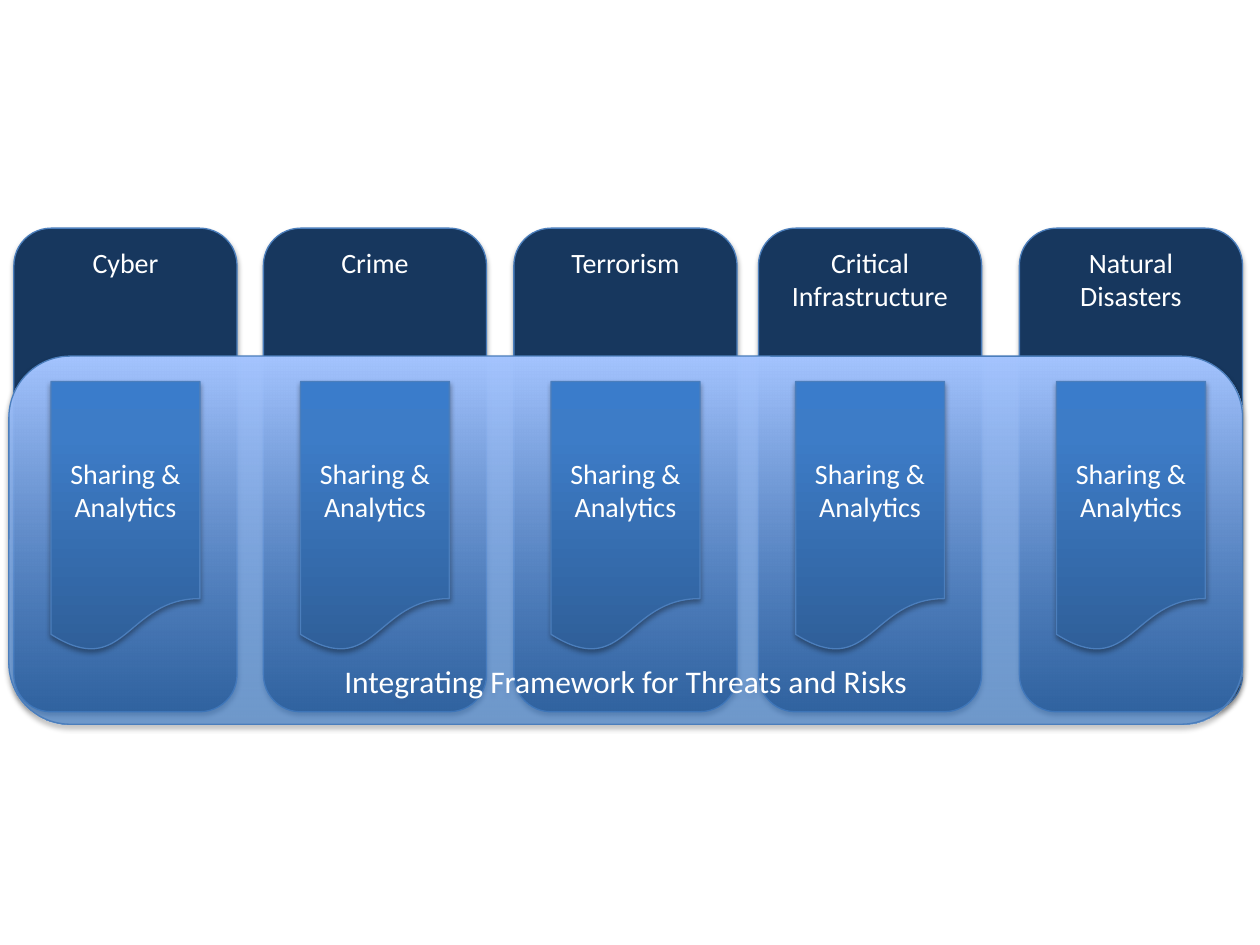
import pptx
import pptx.util
from lxml import etree
from pptx.dml.color import RGBColor
from pptx.enum.shapes import MSO_SHAPE
from pptx.enum.text import MSO_ANCHOR, PP_ALIGN
from pptx.oxml.ns import qn
from pptx.util import Cm, Pt

COLORS = {
    "pillar": "17375E",
    "line": "4B7EBC",
    "text": "FFFFFF",
    "shadow": "000000",
}
# Gradient stops run from bottom to top: position %, colour, opacity %
FRAMEWORK_STOPS = [(0, "3F80CE", 64), (100, "A4C4FF", 100)]
SHARING_STOPS = [(0, "2F5F99", 100), (80, "3D7CC7", 100), (100, "3A7CCB", 100)]


def add_color(parent, color, opacity):
    """Append an RGB colour with an opacity in percent."""
    clr = etree.SubElement(parent, qn("a:srgbClr"), val=color)
    etree.SubElement(clr, qn("a:alpha"), val=str(opacity * 1000))


def add_block(s, kind, box, text, size, anchor, fill):
    """Add a shadowed shape; fill is a hex colour or a list of gradient stops."""
    sp = s.shapes.add_shape(kind, *[Cm(v) for v in box])
    if isinstance(fill, str):
        sp.fill.solid()
        sp.fill.fore_color.rgb = RGBColor.from_string(fill)
    else:
        sp.fill.gradient()
        sp.fill.gradient_angle = 90
        stops = sp._element.spPr.find(".//" + qn("a:gsLst"))
        for gs in list(stops):
            stops.remove(gs)
        for pos, color, opacity in fill:
            gs = etree.SubElement(stops, qn("a:gs"), pos=str(pos * 1000))
            add_color(gs, color, opacity)
    sp.line.color.rgb = RGBColor.from_string(COLORS["line"])
    sp.line.width = Pt(0.75)

    sp.shadow.inherit = False
    effects = sp._element.spPr.find(qn("a:effectLst"))
    shadow = etree.SubElement(
        effects, qn("a:outerShdw"), blurRad=str(Pt(3.1)), dist=str(Pt(1.8)),
        dir="5400000", rotWithShape="0")
    add_color(shadow, COLORS["shadow"], 35)

    tf = sp.text_frame
    tf.word_wrap = True
    tf.vertical_anchor = anchor
    tf.text = text
    font = {"name": "Calibri", "size": Pt(size)}
    for p in tf.paragraphs:
        p.alignment = PP_ALIGN.CENTER
        for r in p.runs:
            for key, value in font.items():
                setattr(r.font, key, value)
            r.font.color.rgb = RGBColor.from_string(COLORS["text"])


prs = pptx.Presentation()
prs.slide_width, prs.slide_height = Cm(25.4), Cm(19.05)
s = prs.slides.add_slide(prs.slide_layouts[6])

pillars = [
    (0.28, "Cyber"),
    (5.31, "Crime"),
    (10.36, "Terrorism"),
    (15.29, "Critical Infrastructure"),
    (20.55, "Natural\nDisasters"),
]

for left, name in pillars:
    add_block(s, MSO_SHAPE.ROUNDED_RECTANGLE, (left, 4.6, 4.5, 9.75),
              name, 16, MSO_ANCHOR.TOP, COLORS["pillar"])

add_block(s, MSO_SHAPE.ROUNDED_RECTANGLE, (0.18, 7.18, 24.87, 7.42),
          "Integrating Framework for Threats and Risks", 18,
          MSO_ANCHOR.BOTTOM, FRAMEWORK_STOPS)

for left, _ in pillars:
    add_block(s, MSO_SHAPE.FLOWCHART_DOCUMENT, (left + 0.75, 7.69, 3, 5.46),
              "Sharing & Analytics", 16, MSO_ANCHOR.MIDDLE, SHARING_STOPS)

prs.save("out.pptx")
